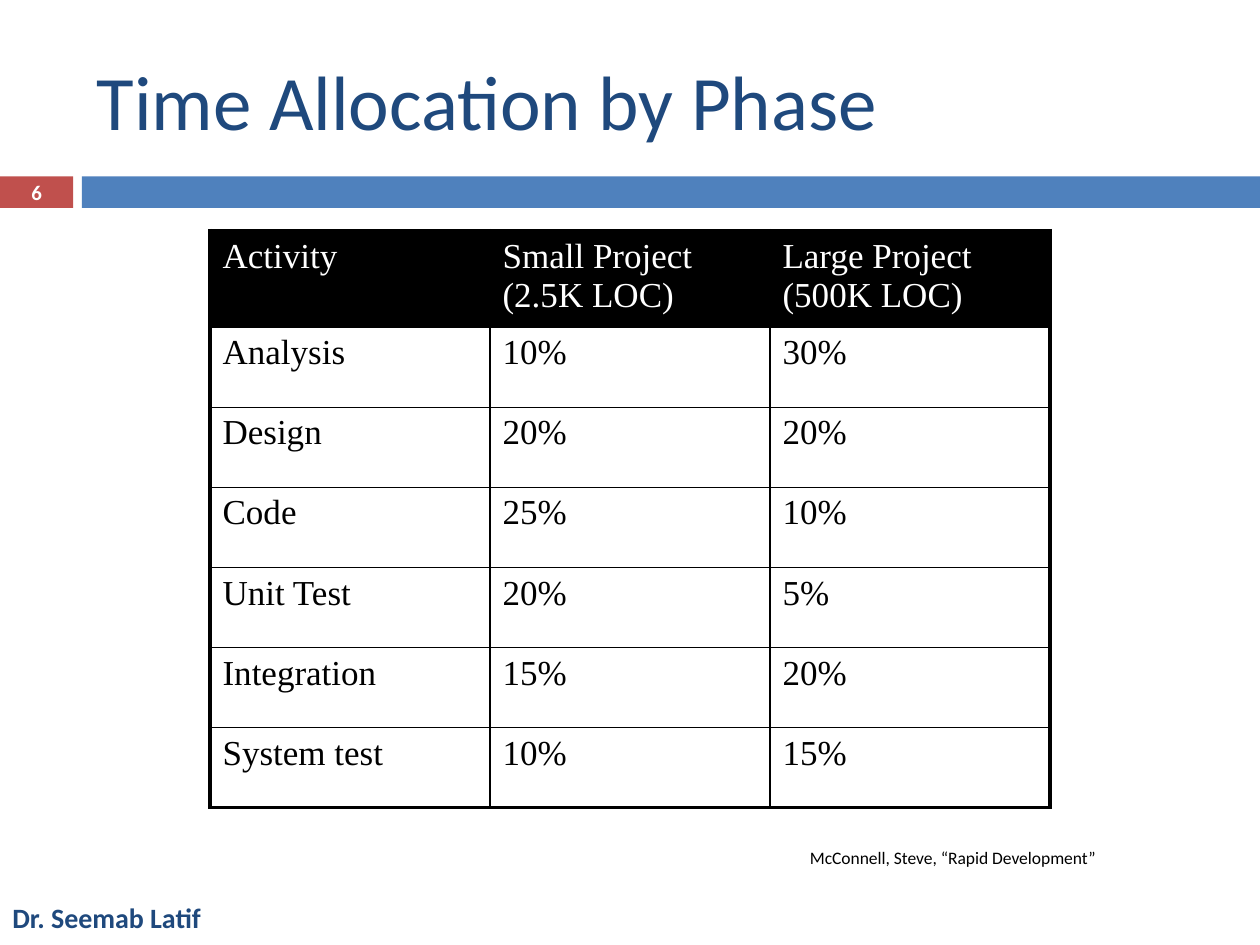
from lxml.etree import SubElement as Sub
from pptx import Presentation
from pptx.dml.color import RGBColor as RGB
from pptx.enum.shapes import MSO_SHAPE as SHAPE
from pptx.enum.text import MSO_ANCHOR as ANCHOR, PP_ALIGN as ALIGN
from pptx.oxml.ns import qn
from pptx.util import Inches, Pt

WIDE, HIGH = 10, 7.5
NAVY, BLUE, RED = "1F497D", "4F81BD", "C0504D"
BLACK, WHITE = "000000", "FFFFFF"
THICK, THIN = 2.25, 1
ROWS = [
    ("Activity", "Small Project (2.5K LOC)", "Large Project (500K LOC)"),
    ("Analysis", "10%", "30%"),
    ("Design", "20%", "20%"),
    ("Code", "25%", "10%"),
    ("Unit Test", "20%", "5%"),
    ("Integration", "15%", "20%"),
    ("System test", "10%", "15%"),
]


def paint(fill, color):
    fill.solid()
    fill.fore_color.rgb = RGB.from_string(color)


def style(frame, size, color, face="Calibri", bold=False):
    for para in frame.paragraphs:
        for run in para.runs:
            font = run.font
            font.size, font.name, font.bold = Pt(size), face, bold
            font.color.rgb = RGB.from_string(color)


def add_text(slide, box, text, size, color, bold=False, anchor=ANCHOR.TOP, align=ALIGN.LEFT):
    frame = slide.shapes.add_textbox(*map(Inches, box)).text_frame
    frame.word_wrap = True
    frame.vertical_anchor = anchor
    frame.text = text
    frame.paragraphs[0].alignment = align
    style(frame, size, color, bold=bold)


def add_block(slide, box, color):
    block = slide.shapes.add_shape(SHAPE.RECTANGLE, *map(Inches, box))
    block.shadow.inherit = False
    block.line.fill.background()
    paint(block.fill, color)


def add_band(slide, box, number):
    """Red number block, a narrow gap, then the blue bar."""
    left, top, width, height = box
    tab, start = 0.058 * width, 0.065 * width
    add_block(slide, (left, top, tab, height), RED)
    add_block(slide, (left + start, top, width - start, height), BLUE)
    add_text(slide, (left, top, tab, height), number, 11.9, WHITE, True,
             ANCHOR.MIDDLE, ALIGN.CENTER)


def add_edges(cell, widths):
    props = cell._tc.get_or_add_tcPr()
    for spot, (side, width) in enumerate(widths.items()):
        line = Sub(props, qn(f"a:ln{side}"), w=str(Pt(width)))
        Sub(Sub(line, qn("a:solidFill")), qn("a:srgbClr"), val=BLACK)
        props.insert(spot, line)


def add_grid(slide, box, rows):
    """Table with a black head, thick outer edges and thin inner ones."""
    last, end = len(rows) - 1, len(rows[0]) - 1
    table = slide.shapes.add_table(last + 1, end + 1, *map(Inches, box)).table
    table.first_row = table.horz_banding = False
    for r, row in enumerate(rows):
        for c, text in enumerate(row):
            cell = table.cell(r, c)
            cell.text = text
            style(cell.text_frame, 20, BLACK if r else WHITE, "Times New Roman")
            paint(cell.fill, WHITE if r else BLACK)
            outer = {"L": c == 0, "R": c == end, "T": r == 0, "B": r == last}
            add_edges(cell, {side: THICK if out else THIN for side, out in outer.items()})


def main():
    deck = Presentation()
    deck.slide_width, deck.slide_height = Inches(WIDE), Inches(HIGH)
    slide = deck.slides.add_slide(deck.slide_layouts[6])
    add_band(slide, (0, 1.4, WIDE, 0.25), "6")
    add_text(slide, (0.67, 0.25, 8.92, 1.08), "Time Allocation by Phase", 44, NAVY,
             anchor=ANCHOR.MIDDLE)
    add_grid(slide, (WIDE / 6, 1.83, WIDE * 2 / 3, 4.45), ROWS)
    add_text(slide, (6.33, 6.67, 2.67, 0.27), "McConnell, Steve, “Rapid Development”", 10, BLACK)
    add_text(slide, (0, HIGH - 0.4, 1.83, 0.4), "Dr. Seemab Latif", 16, NAVY, True)
    deck.save("out.pptx")


if __name__ == "__main__":
    main()
